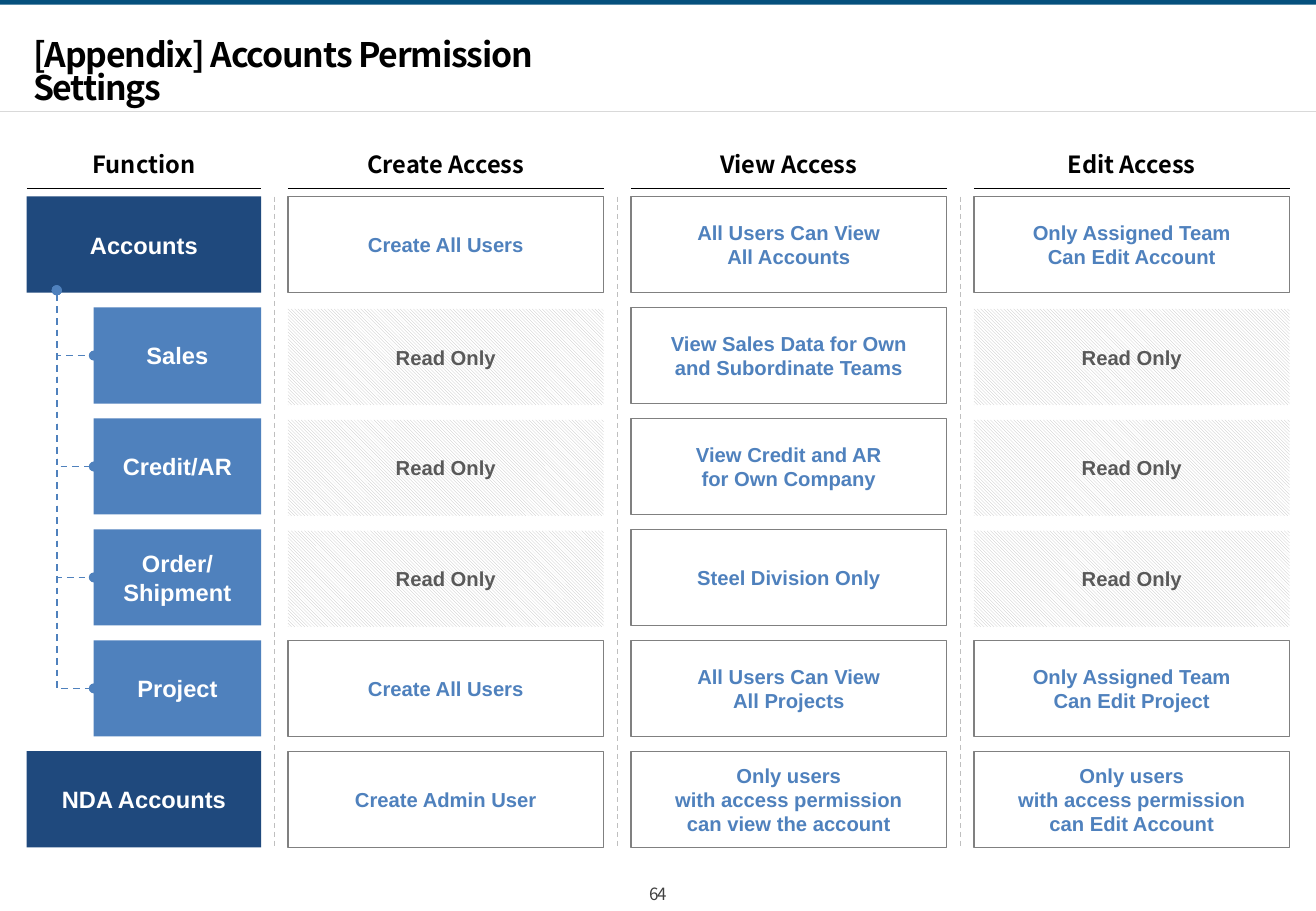
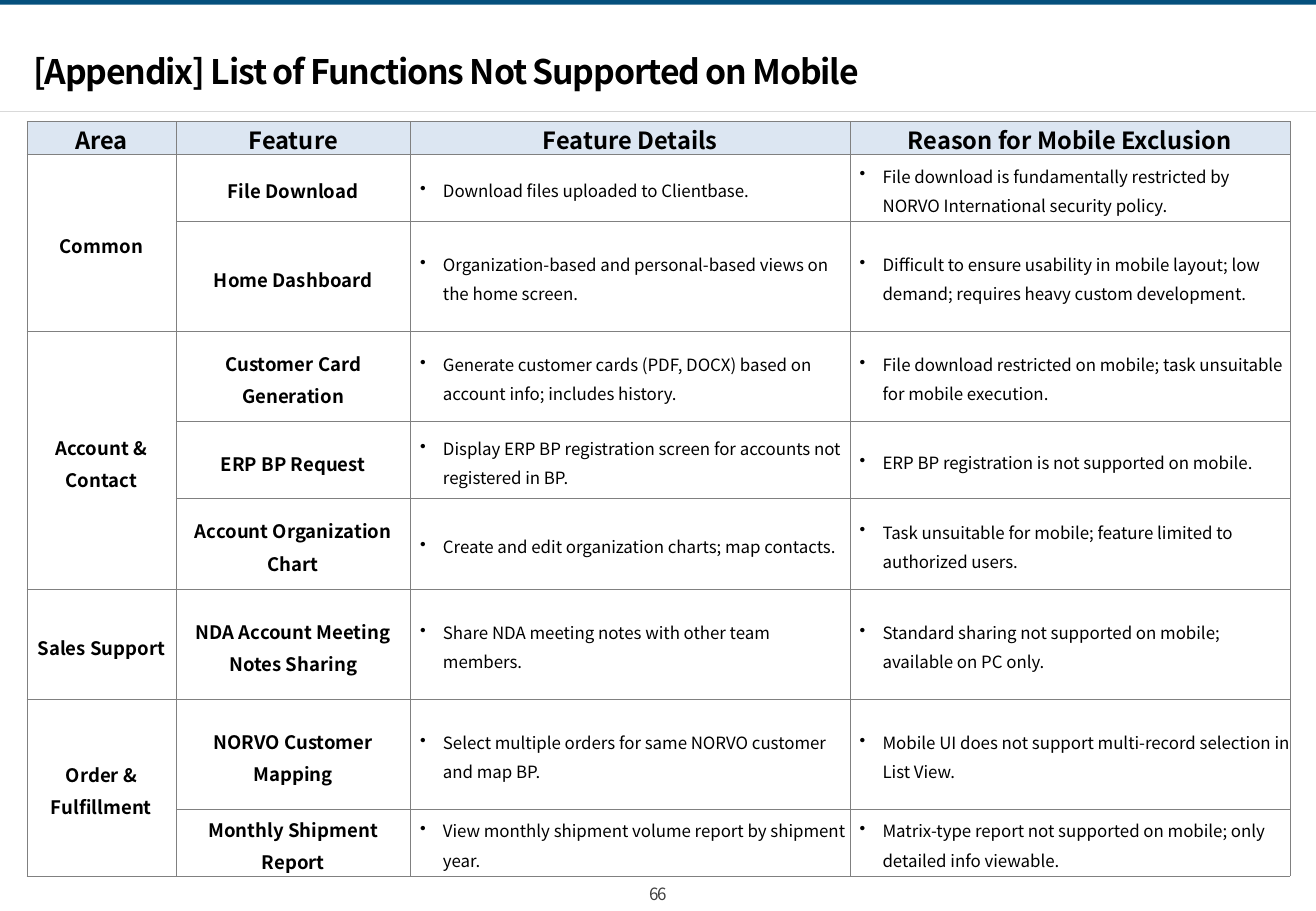
"""Build two appendix slides: account permissions and functions excluded from mobile."""
from dataclasses import dataclass

from lxml.etree import SubElement
from pptx import Presentation
from pptx.dml.color import RGBColor
from pptx.enum.dml import MSO_LINE, MSO_PATTERN
from pptx.enum.shapes import MSO_CONNECTOR, MSO_SHAPE
from pptx.enum.text import MSO_ANCHOR, PP_ALIGN
from pptx.oxml.ns import qn
from pptx.util import Cm, Pt


@dataclass(frozen=True)
class Theme:
    heading_font: str = "Noto Sans CJK KR"
    box_font: str = "Arial"
    band: RGBColor = RGBColor(0x05, 0x50, 0x7D)
    rule: RGBColor = RGBColor(0xD9, 0xD9, 0xD9)
    navy: RGBColor = RGBColor(0x1F, 0x49, 0x7D)
    blue: RGBColor = RGBColor(0x4F, 0x81, 0xBD)
    header: RGBColor = RGBColor(0xDC, 0xE6, 0xF2)
    border: RGBColor = RGBColor(0x80, 0x80, 0x80)
    hatch: RGBColor = RGBColor(0xBF, 0xBF, 0xBF)
    muted: RGBColor = RGBColor(0x59, 0x59, 0x59)
    footer: RGBColor = RGBColor(0x40, 0x40, 0x40)
    black: RGBColor = RGBColor(0, 0, 0)
    white: RGBColor = RGBColor(0xFF, 0xFF, 0xFF)
    title_size: Pt = Pt(20)
    heading_size: Pt = Pt(14)
    access_size: Pt = Pt(12)
    label_size: Pt = Pt(11)
    body_size: Pt = Pt(10)
    tracking: str = "-70"


theme = Theme()


def write(frame, text, size, color, bold=True, font=theme.heading_font,
          align=PP_ALIGN.CENTER, spacing=None, bullet=False):
    for number, line in enumerate(text.split("\n")):
        paragraph = frame.add_paragraph() if number else frame.paragraphs[0]
        paragraph.alignment = align
        if spacing:
            paragraph.line_spacing = spacing
        if bullet:
            paragraph.space_after = Pt(3)
            properties = paragraph._p.get_or_add_pPr()
            properties.set("marL", str(Cm(0.48)))
            properties.set("indent", str(-Cm(0.48)))
            SubElement(properties, qn("a:buChar"), char="•")
        for piece_number, piece in enumerate(line.split("\v")):
            if piece_number:
                paragraph.add_line_break()
            run = paragraph.add_run()
            run.text = piece
            run.font.name = font
            run.font.size = size
            run.font.bold = bold
            run.font.color.rgb = color


def draw_line(slide, kind, start, end, color, width, dashed=False):
    line = slide.shapes.add_connector(kind, *map(Cm, (*start, *end)))
    line.line.color.rgb = color
    line.line.width = Pt(width)
    if dashed:
        line.line.dash_style = MSO_LINE.DASH
    SubElement(line.element.spPr, qn("a:effectLst"))
    return line


SLIDE_WIDTH = 27.51
LEFT = 0.56
presentation = Presentation()
presentation.slide_width = Cm(SLIDE_WIDTH)
presentation.slide_height = Cm(19.05)

slides = []
for heading, heading_width, page in [
    ("[Appendix] Accounts Permission Settings", 13.03, "64"),
    ("[Appendix] List of Functions Not Supported on Mobile", 17.4, "66"),
]:
    slide = presentation.slides.add_slide(presentation.slide_layouts[5])
    slides.append(slide)
    band = slide.shapes.add_shape(MSO_SHAPE.RECTANGLE, 0, 0, Cm(SLIDE_WIDTH), Cm(0.1))
    band.shadow.inherit = False
    band.fill.solid()
    band.fill.fore_color.rgb = theme.band
    band.line.fill.background()
    draw_line(slide, MSO_CONNECTOR.STRAIGHT, (0, 2.33), (SLIDE_WIDTH, 2.33), theme.rule, 0.75)

    title = slide.shapes.title
    title.left, title.top, title.width, title.height = map(Cm, (0.69, 1.12, heading_width, 0.86))
    write(title.text_frame, heading, theme.title_size, theme.black,
          align=PP_ALIGN.LEFT, spacing=0.82)
    page_number = slide.shapes.add_textbox(Cm(13.56), Cm(18.47), Cm(0.38), Cm(0.43))
    write(page_number.text_frame, page, theme.body_size, theme.footer, bold=False)
    for label, wraps in [(title, True), (page_number, False)]:
        frame = label.text_frame
        frame.word_wrap = wraps
        frame.vertical_anchor = MSO_ANCHOR.MIDDLE
        frame.margin_left = frame.margin_right = frame.margin_top = frame.margin_bottom = 0
        for properties in label.element.iter(qn("a:rPr")):
            properties.set("spc", theme.tracking)

permissions, mobile = slides

FUNCTION_WIDTH, CHILD_INDENT = 4.9, 1.4
ACCESS_LEFT, ACCESS_WIDTH, ACCESS_PITCH = 6.02, 6.6, 7.17
ROW_TOP, ROW_HEIGHT, ROW_PITCH = 4.11, 2.01, 2.32
READ_ONLY = "Read Only"
access_lefts = [ACCESS_LEFT + ACCESS_PITCH * column for column in range(3)]

permission_rows = [
    ("Accounts", False, "Create All Users", "All Users Can View\nAll Accounts",
     "Only Assigned Team\nCan Edit Account"),
    ("Sales", True, READ_ONLY, "View Sales Data for Own\nand Subordinate Teams", READ_ONLY),
    ("Credit/AR", True, READ_ONLY, "View Credit and AR\nfor Own Company", READ_ONLY),
    ("Order/\vShipment", True, READ_ONLY, "Steel Division Only", READ_ONLY),
    ("Project", True, "Create All Users", "All Users Can View\nAll Projects",
     "Only Assigned Team\nCan Edit Project"),
    ("NDA Accounts", False, "Create Admin User",
     "Only users\nwith access permission\ncan view the account",
     "Only users\nwith access permission\ncan Edit Account"),
]

for heading, left, width in zip(
    ["Function", "Create Access", "View Access", "Edit Access"],
    [LEFT, *access_lefts],
    [FUNCTION_WIDTH] + [ACCESS_WIDTH] * 3,
):
    column_heading = permissions.shapes.add_textbox(Cm(left), Cm(3.02), Cm(width), Cm(0.86))
    column_heading.text_frame.word_wrap = True
    write(column_heading.text_frame, heading, theme.heading_size, theme.black)
    draw_line(permissions, MSO_CONNECTOR.STRAIGHT, (left, 3.94), (left + width, 3.94),
              theme.black, 0.5)

child_boxes = []
for row, (function, is_child, *accesses) in enumerate(permission_rows):
    top = ROW_TOP + ROW_PITCH * row
    indent = CHILD_INDENT if is_child else 0
    cells = [(function, LEFT + indent, FUNCTION_WIDTH - indent)]
    cells += [(access, left, ACCESS_WIDTH) for access, left in zip(accesses, access_lefts)]
    for column, (text, left, width) in enumerate(cells):
        box = permissions.shapes.add_shape(
            MSO_SHAPE.RECTANGLE, Cm(left), Cm(top), Cm(width), Cm(ROW_HEIGHT))
        box.shadow.inherit = False
        box.text_frame.word_wrap = False
        box.line.fill.background()
        size, color = theme.access_size, theme.blue
        if text == READ_ONLY:
            box.top = Cm(top + 0.03)
            box.fill.patterned()
            box.fill.pattern = MSO_PATTERN.LIGHT_DOWNWARD_DIAGONAL
            box.fill.fore_color.rgb = theme.hatch
            box.fill.back_color.rgb = theme.white
            color = theme.muted
        elif column:
            box.fill.solid()
            box.fill.fore_color.rgb = theme.white
            box.line.color.rgb = theme.border
            box.line.width = Pt(0.75)
        else:
            box.fill.solid()
            box.fill.fore_color.rgb = theme.blue if is_child else theme.navy
            size, color = theme.heading_size, theme.white
            if is_child:
                child_boxes.append(box)
        write(box.text_frame, text, size, color, font=theme.box_font)

branch_root = permissions.shapes.add_shape(
    MSO_SHAPE.RECTANGLE, Cm(0.69), Cm(5.36), Cm(0.99), Cm(0.71))
branch_root.shadow.inherit = False
branch_root.fill.solid()
branch_root.fill.fore_color.rgb = theme.navy
branch_root.line.fill.background()

branch_x = branch_root.left + branch_root.width // 2
branch_y = branch_root.top + branch_root.height
for child in child_boxes:
    branch = draw_line(permissions, MSO_CONNECTOR.ELBOW, (0, 0), (1, 1), theme.blue, 1, True)
    branch.begin_connect(branch_root, 2)
    branch.end_connect(child, 1)
    drop = child.top + child.height // 2 - branch_y
    reach = child.left - branch_x
    branch.left = branch_x + (reach - drop) // 2
    branch.top = branch_y + (drop - reach) // 2
    branch.width, branch.height = drop, reach
    geometry = branch.element.spPr
    frame = geometry.find(qn("a:xfrm"))
    frame.attrib.pop("flipV", None)
    frame.set("rot", "16200000")
    frame.set("flipH", "1")
    geometry.find(qn("a:prstGeom")).set("prst", "bentConnector2")
    outline = geometry.find(qn("a:ln"))
    for end in ("a:headEnd", "a:tailEnd"):
        SubElement(outline, qn(end), type="oval")

for left in access_lefts:
    draw_line(permissions, MSO_CONNECTOR.STRAIGHT, (left - 0.28, ROW_TOP),
              (left - 0.28, ROW_TOP + 5 * ROW_PITCH + ROW_HEIGHT), theme.hatch, 0.75, True)

function_rows = [
    ("Area", "Feature", "Feature Details", "Reason for Mobile Exclusion"),
    ("Common", "File Download", "Download files uploaded to Clientbase.",
     "File download is fundamentally restricted by NORVO International security policy."),
    ("", "Home Dashboard", "Organization-based and personal-based views on the home screen.",
     "Difficult to ensure usability in mobile layout; low demand; "
     "requires heavy custom development."),
    ("Account &\vContact", "Customer Card Generation",
     "Generate customer cards (PDF, DOCX) based on account info; includes history.",
     "File download restricted on mobile; task unsuitable for mobile execution."),
    ("", "ERP BP Request",
     "Display ERP BP registration screen for accounts not registered in BP.",
     "ERP BP registration is not supported on mobile."),
    ("", "Account Organization Chart", "Create and edit organization charts; map contacts.",
     "Task unsuitable for mobile; feature limited to authorized users."),
    ("Sales Support", "NDA Account Meeting Notes Sharing",
     "Share NDA meeting notes with other team members.",
     "Standard sharing not supported on mobile; available on PC only."),
    ("Order &\vFulfillment", "NORVO Customer Mapping",
     "Select multiple orders for same NORVO customer and map BP.",
     "Mobile UI does not support multi-record selection in List View."),
    ("", "Monthly Shipment\nReport", "View monthly shipment volume report by shipment year.",
     "Matrix-type report not supported on mobile; only detailed info viewable."),
]
column_widths = [3.12, 4.9, 9.19, 9.19]
row_heights = [0.69, 1.4, 2.3, 1.89, 1.61, 1.9, 2.3, 2.3, 1.4]

table = mobile.shapes.add_table(
    len(row_heights), len(column_widths), Cm(LEFT), Cm(2.54),
    Cm(sum(column_widths)), Cm(sum(row_heights))).table
table.horz_banding = False
for column, width in zip(table.columns, column_widths):
    column.width = Cm(width)
for row, height in zip(table.rows, row_heights):
    row.height = Cm(height)

for row, texts in enumerate(function_rows):
    for column, text in enumerate(texts):
        cell = table.cell(row, column)
        is_detail = row > 0 and column > 1
        cell.vertical_anchor = MSO_ANCHOR.MIDDLE
        cell.margin_left = Cm(0.2) if is_detail else 0
        cell.margin_right = cell.margin_top = cell.margin_bottom = 0
        for side in ("a:lnL", "a:lnR", "a:lnT", "a:lnB"):
            edge = SubElement(cell._tc.get_or_add_tcPr(), qn(side), w=str(Pt(0.25)))
            edge_fill = SubElement(edge, qn("a:solidFill"))
            SubElement(edge_fill, qn("a:srgbClr"), val=str(theme.border))
        cell.fill.solid()
        cell.fill.fore_color.rgb = theme.white if row else theme.header
        if is_detail:
            write(cell.text_frame, text, theme.body_size, theme.black, bold=False,
                  align=PP_ALIGN.LEFT, spacing=1.2, bullet=True)
        elif text:
            write(cell.text_frame, text, theme.label_size if row else theme.heading_size,
                  theme.black, spacing=1.2 if row else None)

for first, last in [(1, 2), (3, 5), (7, 8)]:
    table.cell(first, 0).merge(table.cell(last, 0))

presentation.save("out.pptx")
